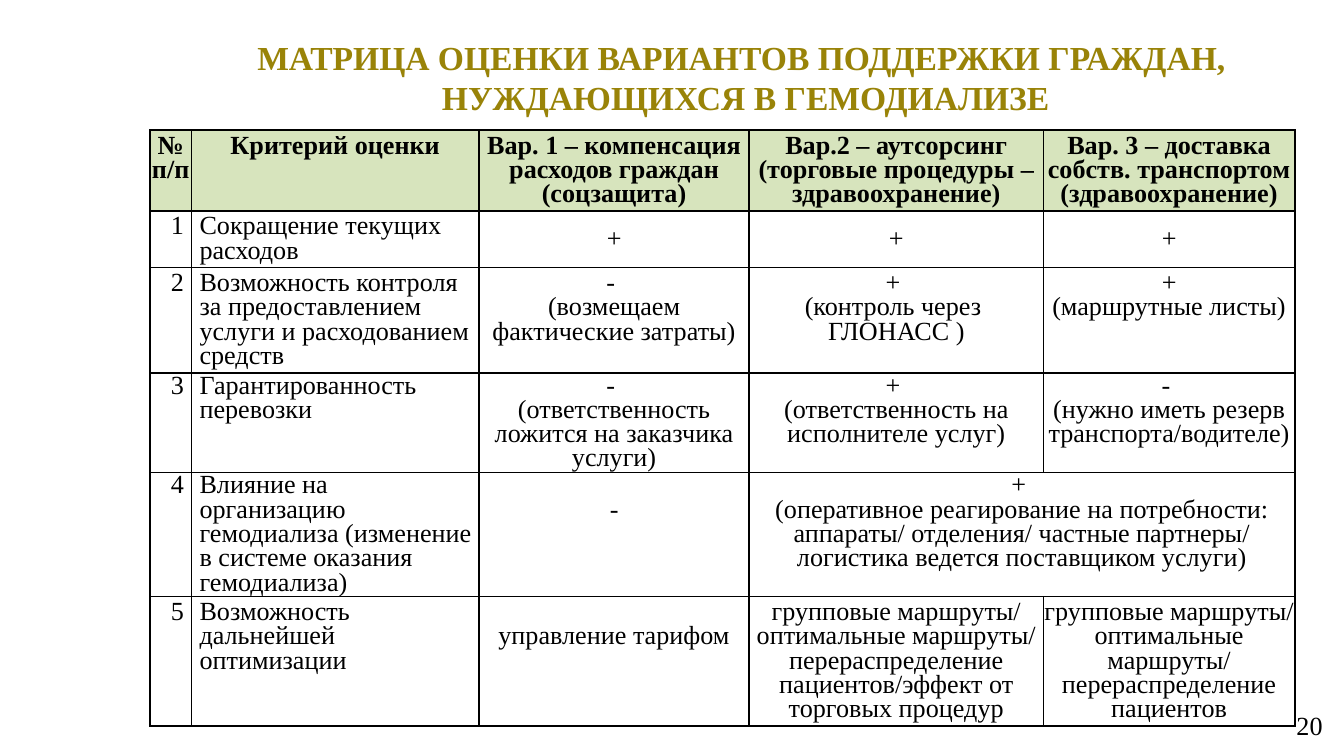
from lxml.etree import SubElement
from pptx import Presentation
from pptx.dml.color import RGBColor
from pptx.enum.text import MSO_ANCHOR, MSO_AUTO_SIZE, PP_ALIGN
from pptx.oxml.ns import qn
from pptx.util import Inches, Pt

BLACK = RGBColor(0x00, 0x00, 0x00)
GOLD = RGBColor(0x99, 0x83, 0x08)
GREEN = RGBColor(0xD7, 0xE4, 0xBD)

presentation = Presentation()
presentation.slide_width = Inches(10)
presentation.slide_height = presentation.slide_width * 9 // 16
column = presentation.slide_width / 100
row = presentation.slide_height / 100
slide = presentation.slides.add_slide(presentation.slide_layouts[6])


def write_text(frame, text, size=14, bold=False, color=BLACK, align=PP_ALIGN.CENTER, spacing=None):
    frame.word_wrap = True
    for index, line in enumerate(text.split("\n")):
        paragraph = frame.paragraphs[0] if index == 0 else frame.add_paragraph()
        paragraph.alignment = align
        paragraph.line_spacing = spacing
        run = paragraph.add_run()
        run.text = line
        run.font.name = "Times New Roman"
        run.font.size = Pt(size)
        run.font.bold = bold
        run.font.color.rgb = color


def draw_borders(cell):
    properties = cell._tc.get_or_add_tcPr()
    for side in ("a:lnL", "a:lnR", "a:lnT", "a:lnB"):
        line = SubElement(properties, qn(side), w=str(Pt(1)))
        fill = SubElement(line, qn("a:solidFill"))
        SubElement(fill, qn("a:srgbClr"), val=str(BLACK))


number = slide.shapes.add_textbox(int(76.1 * column), int(93.2 * row), int(23.3 * column), int(5.33 * row))
number.text_frame.vertical_anchor = MSO_ANCHOR.MIDDLE
write_text(number.text_frame, "20", align=PP_ALIGN.RIGHT)

title = slide.shapes.add_textbox(int(11 * column), int(3.98 * row), int(89 * column), int(12.6 * row))
title.text_frame.auto_size = MSO_AUTO_SIZE.SHAPE_TO_FIT_TEXT
write_text(
    title.text_frame,
    "МАТРИЦА ОЦЕНКИ ВАРИАНТОВ ПОДДЕРЖКИ ГРАЖДАН, \nНУЖДАЮЩИХСЯ В ГЕМОДИАЛИЗЕ",
    size=18, bold=True, color=GOLD,
)

criteria = [
    ["№ п/п", "Критерий оценки", "Вар. 1 – компенсация расходов граждан (соцзащита)",
     "Вар.2 – аутсорсинг (торговые процедуры – здравоохранение)",
     "Вар. 3 – доставка собств. транспортом (здравоохранение)"],
    ["1", "Сокращение текущих расходов", "+", "+", "+"],
    ["2", "Возможность контроля за предоставлением услуги и расходованием средств",
     "- \n(возмещаем фактические затраты)", "+ \n(контроль через \nГЛОНАСС )", "+\n(маршрутные листы)"],
    ["3", "Гарантированность перевозки", "- \n(ответственность ложится на заказчика услуги)",
     "+ \n(ответственность на исполнителе услуг)", "- \n(нужно иметь резерв транспорта/водителе)"],
    ["4", "Влияние на организацию гемодиализа (изменение в системе оказания гемодиализа)", "-",
     "+ \n(оперативное реагирование на потребности: аппараты/ отделения/ частные партнеры/ "
     "логистика ведется поставщиком услуги)", ""],
    ["5", "Возможность дальнейшей оптимизации", "управление тарифом",
     "групповые маршруты/ оптимальные маршруты/\n"
     "перераспределение пациентов/эффект от торговых процедур",
     "групповые маршруты/ оптимальные маршруты/\nперераспределение пациентов"],
]
column_spans = [3.1, 21.4, 20.1, 21.9, 18.7]
row_spans = [9.6, 7.47, 11.73, 13.16, 15.64, 15.64]
lowered_cells = [(4, 2), (5, 2)]
tight_rows = [3, 4]

table_frame = slide.shapes.add_table(
    len(row_spans), len(column_spans),
    int(11.15 * column), int(17.2 * row), int(sum(column_spans) * column), int(78.76 * row),
)
table = table_frame.table
table.first_row = False
table.horz_banding = False
for table_column, span in zip(table.columns, column_spans):
    table_column.width = int(span * column)
for table_row, span in zip(table.rows, row_spans):
    table_row.height = int(span * row)
table_frame.height = int(78.76 * row)
table.cell(4, 3).merge(table.cell(4, 4))

for row_index, texts in enumerate(criteria):
    header = row_index == 0
    base = 0 if row_index in tight_rows else 0.02
    for column_index, text in enumerate(texts):
        cell = table.cell(row_index, column_index)
        draw_borders(cell)
        if header:
            cell.fill.solid()
            cell.fill.fore_color.rgb = GREEN
        else:
            cell.fill.background()
        if cell.is_spanned:
            continue
        criterion = column_index == 1 and not header
        left = 0 if header else {0: 0.1, 1: 0.06}.get(column_index, 0)
        lowering = Pt(13) if (row_index, column_index) in lowered_cells else 0
        cell.margin_left = Inches(left)
        cell.margin_right = Inches(0.04 if criterion else 0)
        cell.margin_top = Inches(base + 0.02) + lowering
        cell.margin_bottom = Inches(base)
        centred = row_index == 1 and column_index > 1
        cell.vertical_anchor = MSO_ANCHOR.MIDDLE if centred else MSO_ANCHOR.TOP
        write_text(
            cell.text_frame, text, bold=header, spacing=Pt(13),
            align=PP_ALIGN.LEFT if criterion else PP_ALIGN.CENTER,
        )

presentation.save("out.pptx")
